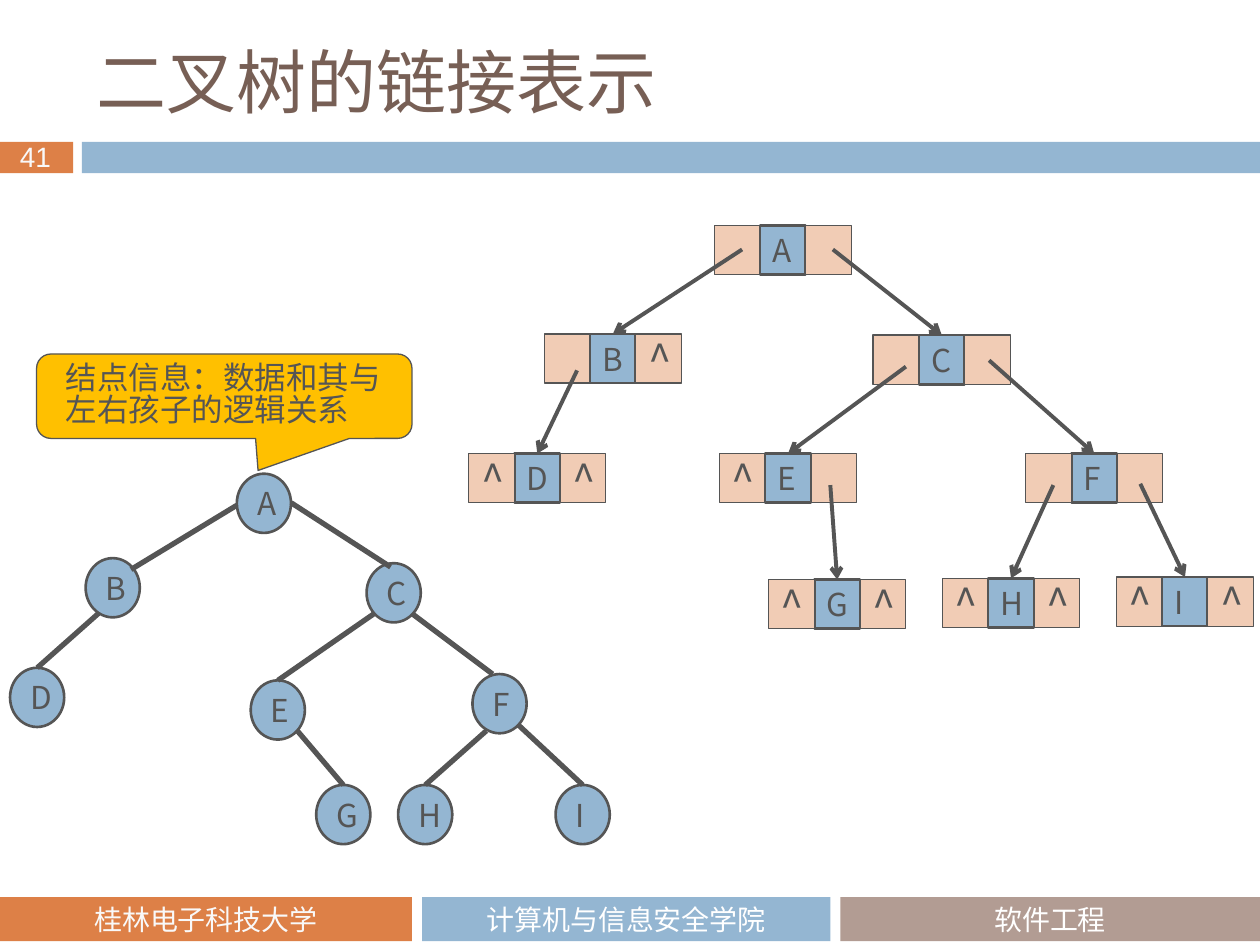
from typing import NamedTuple, Optional

from pptx import Presentation
from pptx import util as u
from pptx.dml.color import RGBColor
from pptx.enum import shapes, text
from pptx.oxml import parse_xml
from pptx.oxml.ns import nsdecls, qn


class Theme(NamedTuple):
    orange: str = "DD8047"
    blue: str = "94B6D2"
    taupe: str = "B29C93"
    peach: str = "F1CCB5"
    amber: str = "FFC000"
    ink: str = "555555"
    title: str = "775F55"
    white: str = "FFFFFF"
    pale: str = "F9F9F9"
    cjk: str = "Noto Sans CJK SC"
    title_font: str = "Noto Sans CJK JP"
    footer_font: str = "Calibri"
    number_font: str = "Arial"
    title_size: int = 40
    mark_size: int = 24
    body_size: int = 18
    small_size: int = 16


class Box(NamedTuple):
    """Left, top, width and height in grid columns and rows."""
    x: float
    y: float
    w: float
    h: float


class Point(NamedTuple):
    x: float
    y: float


class TreeEdge(NamedTuple):
    child: str
    start: Point
    end: Optional[Point] = None  # top centre of the child by default


class Record(NamedTuple):
    x: float
    y: float
    marks: str  # which of the left (L) and right (R) links are empty


T = Theme()
COLUMNS, ROWS = 100, 75
UNIT = u.Inches(10) // COLUMNS
NODE_W, NODE_H = 4.3, 4.7
CELL_W, CELL_H = 3.63, 3.9

# Logical tree: top left corner of each node
NODES = {
    "A": Point(18.8, 37.6), "B": Point(6.8, 44.3), "C": Point(29.1, 44.7),
    "D": Point(0.8, 53), "E": Point(19.9, 54), "F": Point(37.5, 53.5),
    "G": Point(25.1, 62.3), "H": Point(31.6, 62.3), "I": Point(44.1, 62.3),
}
EDGES = [
    TreeEdge("B", Point(18.8, 40.1), Point(10.4, 45.2)),
    TreeEdge("C", Point(23.1, 39.9), Point(31, 45)),
    TreeEdge("D", Point(7.8, 48.7)),
    TreeEdge("E", Point(29.7, 48.7)),
    TreeEdge("F", Point(32.7, 48.7), Point(39.1, 53.5)),
    TreeEdge("G", Point(23.6, 58)),
    TreeEdge("H", Point(38.6, 58)),
    TreeEdge("I", Point(41.1, 57.5)),
]

# Linked records, and the point where the pointer to each child starts
RECORDS = {
    "D": Record(37.2, 36, "LR"), "A": Record(56.7, 17.9, ""),
    "B": Record(43.2, 26.5, "R"), "C": Record(69.3, 26.6, ""),
    "F": Record(81.4, 36, ""), "E": Record(57.1, 36, "L"),
    "G": Record(61, 46, "LR"), "H": Record(74.8, 45.9, "LR"),
    "I": Record(88.6, 45.8, "LR"),
}
POINTERS = {
    "B": Point(58.9, 19.8), "C": Point(66.1, 19.8), "D": Point(45.8, 29.4),
    "E": Point(71.9, 29.1), "F": Point(78.5, 28.6), "G": Point(65.9, 38.5),
    "H": Point(83.6, 38.5), "I": Point(90.5, 38.4),
}


def grid(*values: float) -> list[int]:
    return [round(v * UNIT) for v in values]


def write(tf, content: str, *, size: int = T.body_size, font: str = T.cjk,
          color: str = T.ink, align=text.PP_ALIGN.LEFT,
          anchor=text.MSO_ANCHOR.MIDDLE, wrap: bool = True,
          spacing: Optional[float] = None) -> None:
    tf.word_wrap, tf.vertical_anchor = wrap, anchor
    p = tf.paragraphs[0]
    p.alignment = align
    if spacing:
        p.line_spacing = spacing
    r = p.add_run()
    r.text = content
    r.font.size, r.font.name = u.Pt(size), font
    r.font.color.rgb = RGBColor.from_string(color)
    latin = r.font._element.find(qn("a:latin"))
    latin.addnext(parse_xml(f'<a:ea {nsdecls("a")} typeface="{font}"/>'))


def add_shape(s, box: Box, fill: str, *, kind=shapes.MSO_SHAPE.RECTANGLE,
              line: Optional[float] = None):
    sp = s.shapes.add_shape(kind, *grid(*box))
    sp.shadow.inherit = False
    sp.fill.solid()
    sp.fill.fore_color.rgb = RGBColor.from_string(fill)
    if line is None:
        sp.line.fill.background()
    else:
        sp.line.color.rgb = RGBColor.from_string(T.ink)
        sp.line.width = u.Pt(line)
    return sp


def add_text(s, box: Box, content: str, **fmt) -> None:
    write(s.shapes.add_textbox(*grid(*box)).text_frame, content, **fmt)


def add_line(s, start: Point, end: Point, width: float, arrow: bool = False) -> None:
    c = s.shapes.add_connector(shapes.MSO_CONNECTOR.STRAIGHT, *grid(*start, *end))
    c.line.color.rgb = RGBColor.from_string(T.ink)
    c.line.width = u.Pt(width)
    if arrow:
        c.line._get_or_add_ln().append(
            parse_xml(f'<a:tailEnd {nsdecls("a")} type="arrow"/>'))
    c._element.spPr.append(parse_xml(f'<a:effectLst {nsdecls("a")}/>'))


def draw_frame(s) -> None:
    # Header band, page number and title
    add_shape(s, Box(0, 11.25, 5.8, 2.5), T.orange)
    add_shape(s, Box(6.5, 11.25, 93.5, 2.5), T.blue)
    add_text(s, Box(0.6, 10.6, 4.8, 3.7), "41", size=T.small_size, wrap=False,
             font=T.number_font, color=T.pale, anchor=text.MSO_ANCHOR.TOP)
    add_text(s, Box(6.7, 2.5, 89.2, 7.8), "二叉树的链接表示",
             size=T.title_size, font=T.title_font, color=T.title)
    # Footer
    for x, w, fill, color, label in (
            (0, 32.7, T.orange, T.pale, "桂林电子科技大学"),
            (33.5, 32.4, T.blue, T.white, "计算机与信息安全学院"),
            (66.7, 33.3, T.taupe, T.white, "软件工程")):
        sp = add_shape(s, Box(x, 71.2, w, 3.5), fill)
        write(sp.text_frame, label, size=T.small_size, font=T.footer_font,
              color=color, align=text.PP_ALIGN.CENTER)


def draw_tree(s) -> None:
    for name, at in NODES.items():
        sp = add_shape(s, Box(*at, NODE_W, NODE_H), T.blue,
                       kind=shapes.MSO_SHAPE.OVAL, line=1.5)
        write(sp.text_frame, name)
    for edge in EDGES:
        at = NODES[edge.child]
        add_line(s, edge.start, edge.end or Point(at.x + NODE_W / 2, at.y), 3)


def draw_callout(s) -> None:
    sp = add_shape(s, Box(2.9, 28.1, 29.8, 6.7), T.amber, line=0.75,
                   kind=shapes.MSO_SHAPE.ROUNDED_RECTANGULAR_CALLOUT)
    for i, value in enumerate((0.09, 0.88, 0.17)):
        sp.adjustments[i] = value
    sp.text_frame.margin_left = u.Inches(0.2)
    write(sp.text_frame, "结点信息：数据和其与左右孩子的逻辑关系", spacing=0.83)


def draw_records(s) -> None:
    for name, rec in RECORDS.items():
        cells = [Box(rec.x + i * CELL_W, rec.y, CELL_W, CELL_H) for i in range(3)]
        write(add_shape(s, cells[1], T.blue, line=1.5).text_frame, name)
        for side, cell in (("R", cells[2]), ("L", cells[0])):
            sp = add_shape(s, cell, T.peach, line=0.75)
            if side in rec.marks:
                write(sp.text_frame, "^", size=T.mark_size)
    for child, start in POINTERS.items():
        rec = RECORDS[child]
        add_line(s, start, Point(rec.x + 1.5 * CELL_W, rec.y), 2.25, arrow=True)


def main() -> None:
    prs = Presentation()
    prs.slide_width, prs.slide_height = grid(COLUMNS, ROWS)
    s = prs.slides.add_slide(prs.slide_layouts[6])
    for draw in (draw_frame, draw_tree, draw_callout, draw_records):
        draw(s)
    prs.save("out.pptx")


if __name__ == "__main__":
    main()
